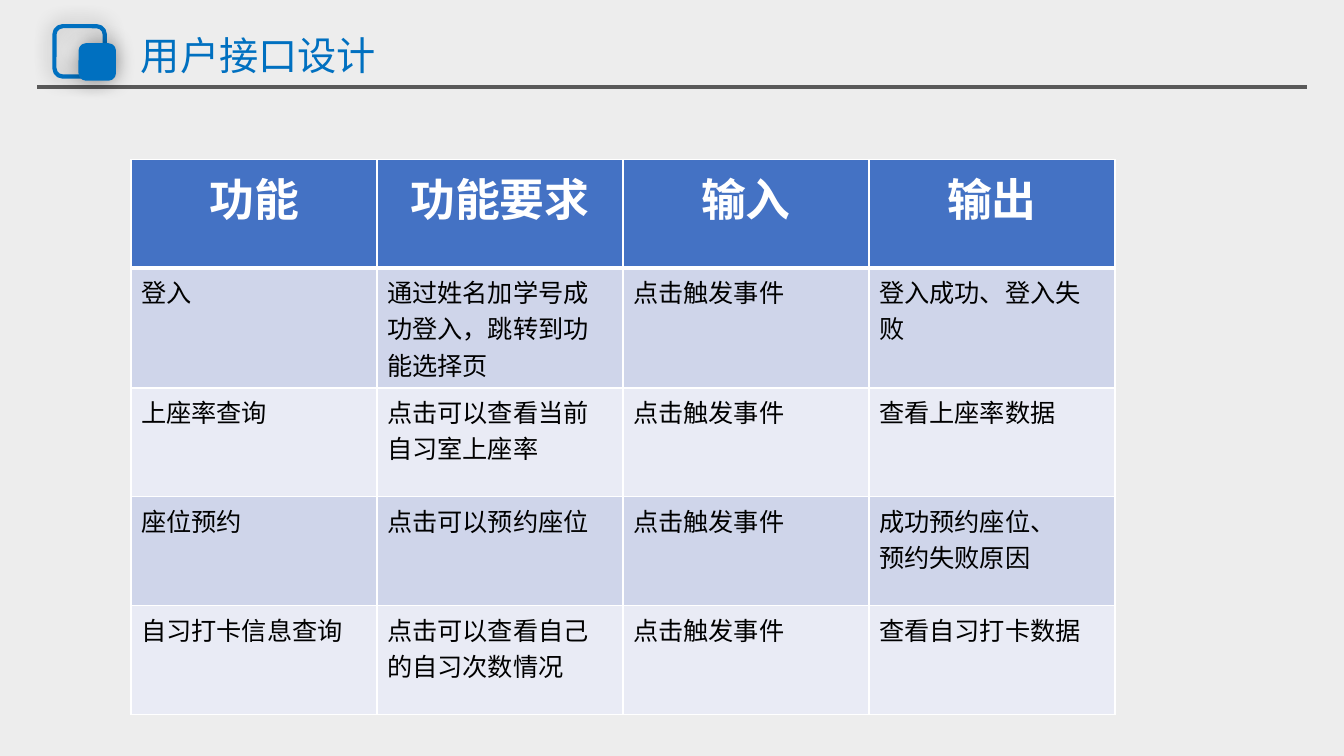
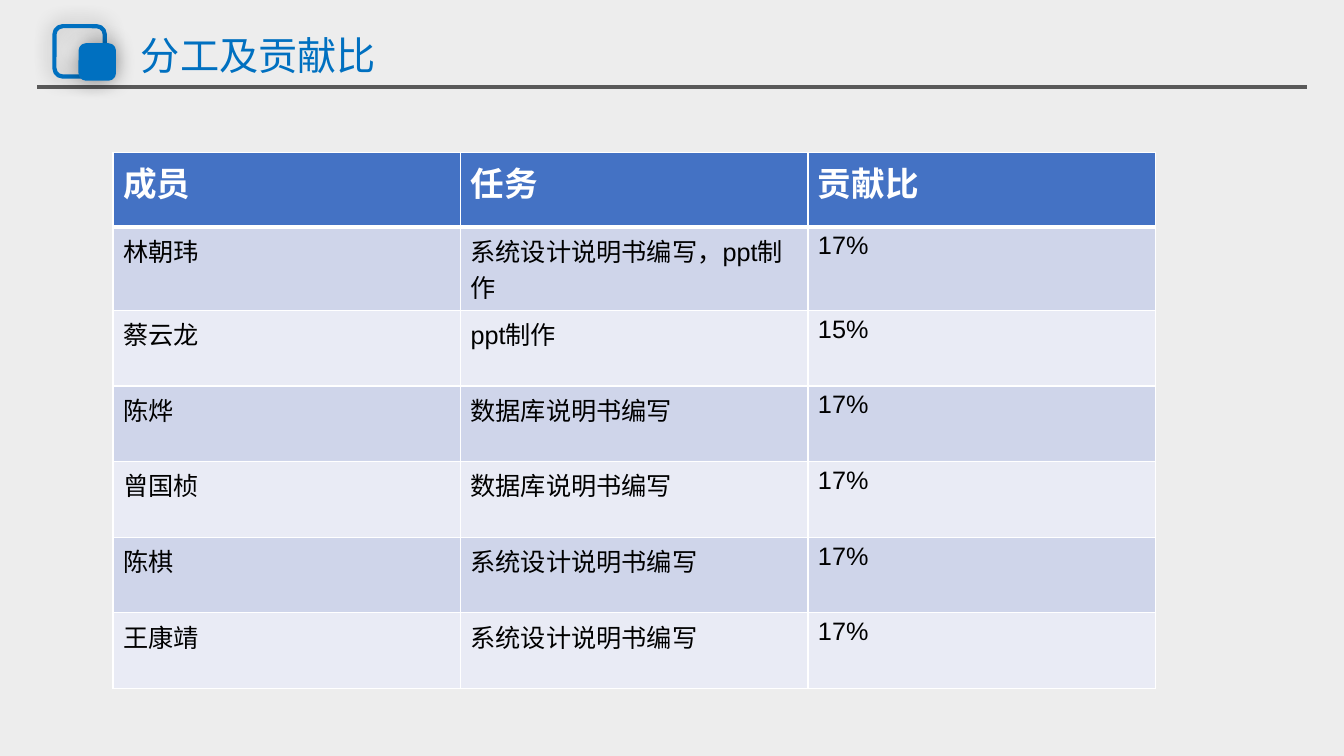
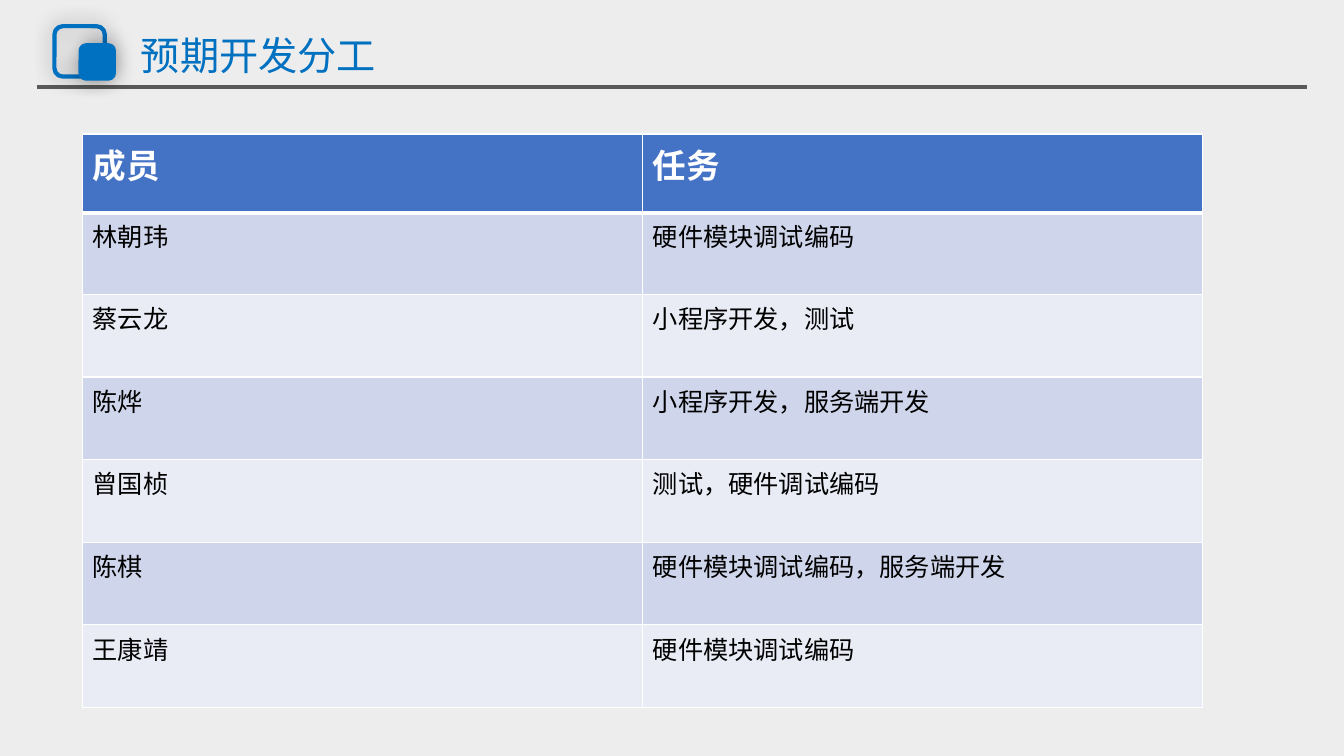
from collections import namedtuple
from pptx import Presentation
from pptx.dml.color import RGBColor
from pptx.enum.lang import MSO_LANGUAGE_ID as Language
from pptx.enum.shapes import MSO_CONNECTOR as Connector, MSO_SHAPE as Shape
from pptx.enum.text import MSO_ANCHOR as Anchor, PP_ALIGN as Align
from pptx.oxml import parse_xml
from pptx.oxml.ns import nsdecls
from pptx.util import Inches, Pt

FONT = "Arial"
BLUE = RGBColor(0x00, 0x70, 0xC0)
VEIL = RGBColor(0xD9, 0xD9, 0xD9)
RULE = RGBColor(0x59, 0x59, 0x59)
HEADER = RGBColor(0x44, 0x72, 0xC4)
BANDS = (RGBColor(0xCF, 0xD5, 0xEA), RGBColor(0xE9, 0xEB, 0xF5))
WHITE = RGBColor(0xFF, 0xFF, 0xFF)
BLACK = RGBColor(0x00, 0x00, 0x00)

WIDTH, HEIGHT = 13.33, 7.5
Box = namedtuple("Box", "left top width height")
TITLE_BAR = Box(0.37, 0.26, 12.59, 0.6)

INTERFACE_ROWS = [
    ("功能", "功能要求", "输入", "输出"),
    ("登入", "通过姓名加学号成功登入，跳转到功能选择页", "点击触发事件", "登入成功、登入失败"),
    ("上座率查询", "点击可以查看当前自习室上座率", "点击触发事件", "查看上座率数据"),
    ("座位预约", "点击可以预约座位", "点击触发事件", "成功预约座位、\n预约失败原因"),
    ("自习打卡信息查询", "点击可以查看自己的自习次数情况", "点击触发事件", "查看自习打卡数据"),
]
SHARE_ROWS = [
    ("成员", "任务", "贡献比"),
    ("林朝玮", "系统设计说明书编写，ppt制作", "17%"),
    ("蔡云龙", "ppt制作", "15%"),
    ("陈烨", "数据库说明书编写", "17%"),
    ("曾国桢", "数据库说明书编写", "17%"),
    ("陈棋", "系统设计说明书编写", "17%"),
    ("王康靖", "系统设计说明书编写", "17%"),
]
PLAN_ROWS = [
    ("成员", "任务"),
    ("林朝玮", "硬件模块调试编码"),
    ("蔡云龙", "小程序开发，测试"),
    ("陈烨", "小程序开发，服务端开发"),
    ("曾国桢", "测试，硬件调试编码"),
    ("陈棋", "硬件模块调试编码，服务端开发"),
    ("王康靖", "硬件模块调试编码"),
]


def inches(box):
    return [Inches(length) for length in box]


def style_text(frame, size, color, bold=False, align=Align.LEFT):
    for para in frame.paragraphs:
        para.alignment = align
        for span in para.runs:
            font = span.font
            font.name, font.size, font.bold = FONT, Pt(size), bold
            font.color.rgb = color
            font.language_id = Language.SIMPLIFIED_CHINESE


def add_veil(page, box):
    veil = page.shapes.add_shape(Shape.RECTANGLE, *inches(box))
    veil.shadow.inherit = False
    veil.fill.solid()
    veil.fill.fore_color.rgb = VEIL
    veil.line.fill.background()
    color = veil.fill._xPr.find(".//{*}srgbClr")
    color.append(parse_xml(f'<a:alpha {nsdecls("a")} val="46000"/>'))


def add_glowing_square(page, left, top, side, filled):
    square = page.shapes.add_shape(
        Shape.ROUNDED_RECTANGLE, *inches((left, top, side, side)))
    if filled:
        square.fill.solid()
        square.fill.fore_color.rgb = BLUE
    else:
        square.fill.background()
    square.line.color.rgb = BLUE
    square.line.width = Pt(3)
    square._element.spPr.append(parse_xml(
        f'<a:effectLst {nsdecls("a")}>'
        f'<a:outerShdw blurRad="{Pt(15)}" dist="0" dir="0" algn="ctr" rotWithShape="0">'
        '<a:srgbClr val="000000"><a:alpha val="40000"/></a:srgbClr>'
        '</a:outerShdw></a:effectLst>'))


def add_title_bar(page, box, title):
    bottom = box.top + box.height
    rule = page.shapes.add_connector(
        Connector.STRAIGHT, *inches((box.left, bottom, box.left + box.width, bottom)))
    rule.line.color.rgb = RULE
    rule.line.width = Pt(3)
    rule._element.spPr.append(parse_xml(f'<a:effectLst {nsdecls("a")}/>'))
    add_glowing_square(page, box.left + 0.17, box.top, 0.5, False)
    add_glowing_square(page, box.left + 0.43, box.top + 0.19, 0.33, True)
    label = page.shapes.add_textbox(
        *inches((box.left + 0.93, box.top + 0.06, 5.18, 0.5)))
    frame = label.text_frame
    frame.word_wrap = True
    frame.vertical_anchor = Anchor.MIDDLE
    frame.text = title
    frame.paragraphs[0].line_spacing = 0.9
    style_text(frame, 28, BLUE)


def set_borders(cell, top, bottom):
    properties = cell._tc.get_or_add_tcPr()
    for side, width in (("L", 1), ("R", 1), ("T", top), ("B", bottom)):
        properties.append(parse_xml(
            f'<a:ln{side} {nsdecls("a")} w="{Pt(width)}"><a:solidFill>'
            f'<a:srgbClr val="{WHITE}"/></a:solidFill></a:ln{side}>'))


def add_banded_table(page, box, rows, heights, header_size, header_align):
    count = len(rows[0])
    table = page.shapes.add_table(len(rows), count, *inches(box)).table
    for column in table.columns:
        column.width = Inches(box.width / count)
    for index, (values, height) in enumerate(zip(rows, heights)):
        table.rows[index].height = Inches(height)
        is_header = index == 0
        for cell, value in zip(table.rows[index].cells, values):
            set_borders(cell, 3 if index == 1 else 1, 3 if is_header else 1)
            cell.fill.solid()
            cell.fill.fore_color.rgb = HEADER if is_header else BANDS[(index - 1) % 2]
            cell.text_frame.text = value
            if is_header:
                style_text(cell.text_frame, header_size, WHITE, True, header_align)
            else:
                style_text(cell.text_frame, 18, BLACK)


def add_table_page(deck, title, left, top, width, rows, heights,
                   header_size=24, header_align=Align.LEFT):
    page = deck.slides.add_slide(deck.slide_layouts[6])
    add_veil(page, Box(0, 0, WIDTH, HEIGHT))
    add_title_bar(page, TITLE_BAR, title)
    box = Box(left, top, width, sum(heights))
    add_banded_table(page, box, rows, heights, header_size, header_align)


def main():
    deck = Presentation()
    deck.slide_width, deck.slide_height = Inches(WIDTH), Inches(HEIGHT)
    add_table_page(deck, "用户接口设计", 1.3, 1.58, 9.76,
                   INTERFACE_ROWS, [1.08, 1.19] + [1.08] * 3, 32, Align.CENTER)
    add_table_page(deck, "分工及贡献比", 1.12, 1.51, 10.34,
                   SHARE_ROWS, [0.74, 0.83] + [0.75] * 5)
    add_table_page(deck, "预期开发分工", 0.82, 1.33, 11.11,
                   PLAN_ROWS, [0.78, 0.81] + [0.82] * 5)
    deck.save("out.pptx")


if __name__ == "__main__":
    main()
